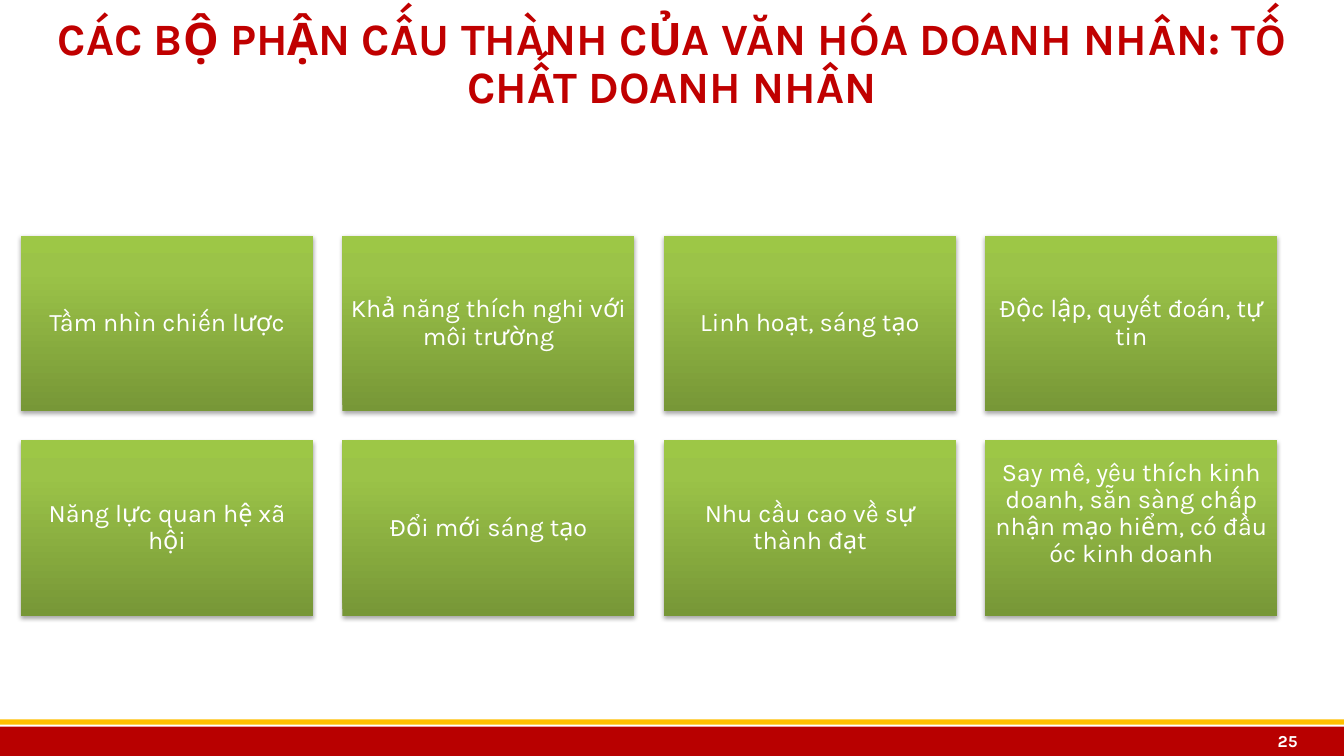
from dataclasses import dataclass

from lxml import etree
from pptx import Presentation
from pptx.dml.color import RGBColor
from pptx.enum import shapes, text
from pptx.oxml import ns
from pptx.util import Cm, Pt


@dataclass(frozen=True)
class Theme:
    font: str = "Karla"
    title: str = "C00000"
    footer: str = "B80000"
    stripe: str = "FFC000"
    light: str = "FFFFFF"
    tile_stops: tuple = ((0, "779737"), (80, "9BC348"), (100, "9DC746"))
    title_size: int = 32
    tile_size: int = 18
    number_size: int = 12


THEME = Theme()
WIDTH, HEIGHT = 33.87, 19.05
TITLE = "CÁC BỘ PHẬN CẤU THÀNH CỦA VĂN HÓA DOANH NHÂN: TỐ CHẤT DOANH NHÂN"
QUALITIES = [
    "Tầm nhìn chiến lược",
    "Khả năng thích nghi với môi trường",
    "Linh hoạt, sáng tạo",
    "Độc lập, quyết đoán, tự tin",
    "Năng lực quan hệ xã hội",
    "Đổi mới sáng tạo",
    "Nhu cầu cao về sự thành đạt",
    "Say mê, yêu thích kinh doanh, sẵn sàng chấp nhận mạo hiểm, có đầu óc kinh doanh",
]


def write(box, words, size, color, align, bold=False, spacing=None):
    frame = box.text_frame
    frame.text = words
    frame.word_wrap = True
    frame.auto_size = text.MSO_AUTO_SIZE.NONE
    frame.vertical_anchor = text.MSO_ANCHOR.MIDDLE
    para = frame.paragraphs[0]
    para.alignment = align
    para.space_before = Pt(0)
    if spacing:
        para.line_spacing = spacing
    for span in para.runs:
        span.font.name = THEME.font
        span.font.size = Pt(size)
        span.font.bold = bold
        span.font.color.rgb = RGBColor.from_string(color)


def set_insets(box, left, top, right, bottom):
    frame = box.text_frame
    frame.margin_left, frame.margin_top = Cm(left), Cm(top)
    frame.margin_right, frame.margin_bottom = Cm(right), Cm(bottom)


def add_bar(page, left, top, width, height, color):
    bar = page.shapes.add_shape(shapes.MSO_SHAPE.RECTANGLE, Cm(left), Cm(top), Cm(width), Cm(height))
    bar.shadow.inherit = False
    bar.fill.solid()
    bar.fill.fore_color.rgb = RGBColor.from_string(color)
    bar.line.fill.background()


def add_effects(box):
    """Vertical gradient and soft shadow below the tile."""
    stops = "".join(
        f'<a:gs pos="{place * 1000}"><a:srgbClr val="{color}"/></a:gs>'
        for place, color in THEME.tile_stops
    )
    gradient = etree.fromstring(
        f'<a:gradFill {ns.nsdecls("a")} rotWithShape="1"><a:gsLst>{stops}</a:gsLst>'
        '<a:lin ang="16200000" scaled="0"/></a:gradFill>'
    )
    shadow = etree.fromstring(
        f'<a:outerShdw {ns.nsdecls("a")} blurRad="39400" dist="22900" dir="5400000" rotWithShape="0">'
        '<a:srgbClr val="000000"><a:alpha val="35000"/></a:srgbClr></a:outerShdw>'
    )
    box.shadow.inherit = False
    box.line.fill.background()
    properties = box.element.spPr
    properties.find(ns.qn("a:prstGeom")).addnext(gradient)
    properties.find(ns.qn("a:effectLst")).append(shadow)


def add_title(page, left, top, width, height):
    title = page.shapes.title
    title.left, title.top, title.width, title.height = Cm(left), Cm(top), Cm(width), Cm(height)
    write(title, TITLE, THEME.title_size, THEME.title, text.PP_ALIGN.CENTER, bold=True, spacing=0.9)


def add_tiles(page, left, top, width, height, gap=0.74, columns=4):
    rows = len(QUALITIES) // columns
    tile_width = (width - gap * (columns - 1)) / columns
    tile_height = (height - gap * (rows - 1)) / rows
    for index, quality in enumerate(QUALITIES):
        row, column = divmod(index, columns)
        tile = page.shapes.add_shape(
            shapes.MSO_SHAPE.RECTANGLE,
            Cm(left + column * (tile_width + gap)),
            Cm(top + row * (tile_height + gap)),
            Cm(tile_width),
            Cm(tile_height),
        )
        add_effects(tile)
        write(tile, quality, THEME.tile_size, THEME.light, text.PP_ALIGN.CENTER, spacing=0.9)
        set_insets(tile, 0.18, 0.18, 0.18, 0.18)
    # The long last text sits a little above the middle
    tile.text_frame.margin_bottom = Cm(0.9)


def add_footer(page, top, height):
    add_bar(page, 0, top, WIDTH, height, THEME.footer)
    add_bar(page, 0, top - 0.18, WIDTH, 0.13, THEME.stripe)
    number = page.shapes.add_textbox(Cm(WIDTH - 3.13), Cm(top), Cm(2.21), Cm(height))
    write(number, "25", THEME.number_size, THEME.light, text.PP_ALIGN.RIGHT, bold=True)
    set_insets(number, 0.25, 0, 0.25, 0)


def main():
    deck = Presentation()
    deck.slide_width, deck.slide_height = Cm(WIDTH), Cm(HEIGHT)
    page = deck.slides.add_slide(deck.slide_layouts.get_by_name("Title Only"))
    add_footer(page, top=18.31, height=0.74)
    add_title(page, left=0.94, top=0.13, width=32, height=3)
    add_tiles(page, left=0.53, top=5.94, width=31.66, height=9.58)
    deck.save("out.pptx")


if __name__ == "__main__":
    main()
